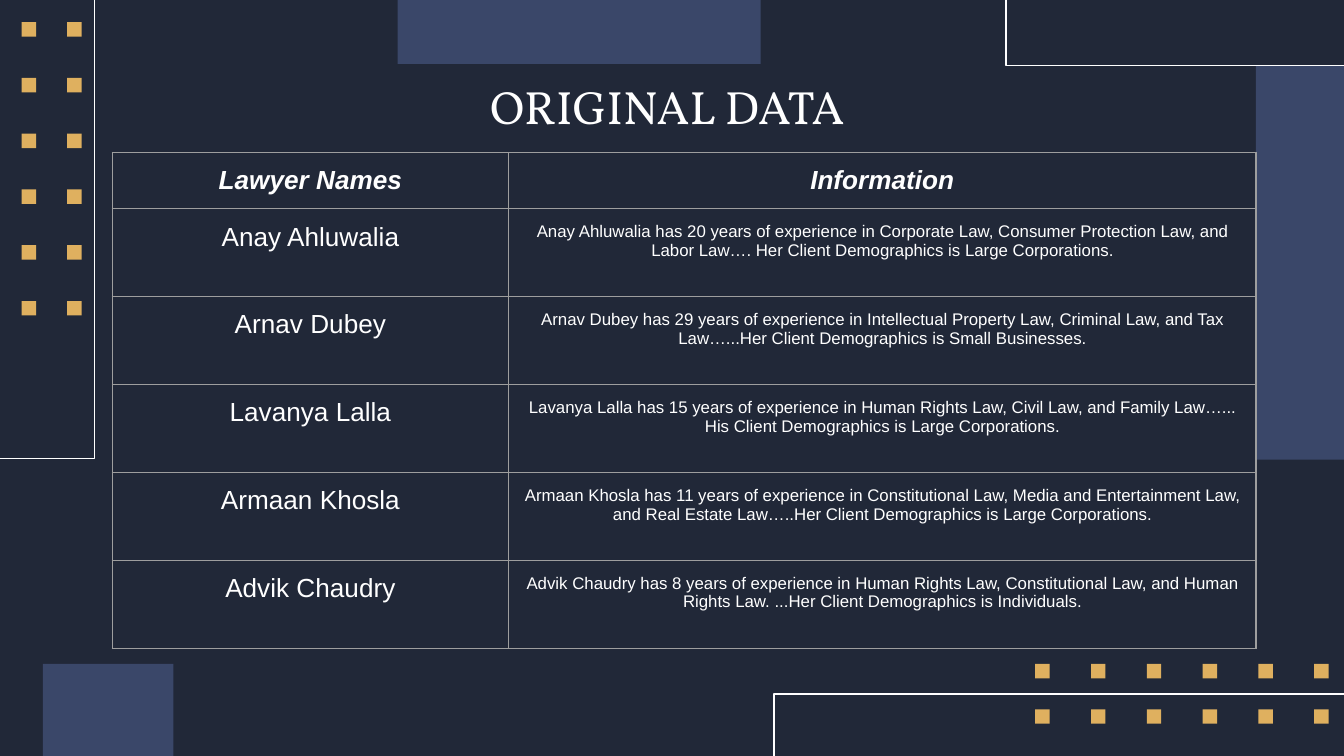
import pptx
import pptx.dml.color
import pptx.enum.shapes
import pptx.enum.text
import pptx.oxml
import pptx.oxml.ns
import pptx.util

NAVY = pptx.dml.color.RGBColor(0x21, 0x28, 0x38)
BLUE = pptx.dml.color.RGBColor(0x3A, 0x47, 0x69)
GOLD = pptx.dml.color.RGBColor(0xDF, 0xB0, 0x5F)
WHITE = pptx.dml.color.RGBColor(0xFF, 0xFF, 0xFF)
GREY = pptx.dml.color.RGBColor(0x9E, 0x9E, 0x9E)

COLUMNS, ROWS = 1000, 562.5
UNIT = pptx.util.Inches(0.01)
DOT_SIZE, DOT_STEP, DOT_GAP = 10.8, 41.5, 33.8
DOT_COUNT = 6

TITLE = {"name": "Vollkorn", "size": pptx.util.Pt(25)}
HEADING = {"name": "Arial", "size": pptx.util.Pt(14), "bold": True, "italic": True}
LAWYER = {"name": "Arial", "size": pptx.util.Pt(14), "bold": False, "italic": False}
DETAIL = {"name": "Arial", "size": pptx.util.Pt(9), "bold": False, "italic": False}
MARGINS = {f"margin_{side}": pptx.util.Inches(0.1) for side in ("left", "right", "top", "bottom")}

BLOCKS = [(32, 494, 97, ROWS - 494), (296, 0, 270, 47.5), (934.5, 49, 65.5, 293)]
OUTLINES = [
    [(COLUMNS, 516.5), (576, 516.5), (576, ROWS)],
    [(70.4, 0), (70.4, 341), (0, 341)],
    [(COLUMNS, 48.7), (748.5, 48.7), (748.5, 0)],
]
COLUMN_WIDTHS = [295, 556]
HEADER_HEIGHT, BODY_HEIGHT = 39, 65.4
TABLE_ROWS = [
    ("Lawyer Names", "Information"),
    ("Anay Ahluwalia", "Anay Ahluwalia has 20 years of experience in Corporate Law, Consumer Protection Law, "
     "and Labor Law…. Her Client Demographics is Large Corporations."),
    ("Arnav Dubey", "Arnav Dubey has 29 years of experience in Intellectual Property Law, Criminal Law, "
     "and Tax Law…...Her Client Demographics is Small Businesses."),
    ("Lavanya Lalla", "Lavanya Lalla has 15 years of experience in Human Rights Law, Civil Law, "
     "and Family Law…... His Client Demographics is Large Corporations."),
    ("Armaan Khosla", "Armaan Khosla has 11 years of experience in Constitutional Law, Media and "
     "Entertainment Law, and Real Estate Law…..Her Client Demographics is Large Corporations."),
    ("Advik Chaudry", "Advik Chaudry has 8 years of experience in Human Rights Law, Constitutional Law, "
     "and Human Rights Law. ...Her Client Demographics is Individuals."),
]


def grid(*lengths):
    """Turn grid units into slide lengths."""
    return [pptx.util.Emu(round(length * UNIT)) for length in lengths]


def set_values(target, values):
    """Set each named value as an attribute of the target."""
    for name, value in values.items():
        setattr(target, name, value)


def write_text(text_frame, text, format_values):
    """Write one centred white paragraph with the given font values."""
    paragraph = text_frame.paragraphs[0]
    paragraph.alignment = pptx.enum.text.PP_ALIGN.CENTER
    run = paragraph.add_run()
    run.text = text
    set_values(run.font, format_values)
    run.font.color.rgb = WHITE


def add_block(slide, box, color):
    """Add a plain filled rectangle."""
    shape = slide.shapes.add_shape(pptx.enum.shapes.MSO_SHAPE.RECTANGLE, *grid(*box))
    shape.shadow.inherit = False
    shape.fill.solid()
    shape.fill.fore_color.rgb = color
    shape.line.fill.background()


def add_dots(slide):
    """Add the upright and the flat pair of dot rows."""
    for step in range(DOT_COUNT):
        for lane in range(2):
            along, across = step * DOT_STEP, lane * DOT_GAP
            add_block(slide, (16.2 + across, 16.5 + along, DOT_SIZE, DOT_SIZE), GOLD)
            add_block(slide, (770.3 + along, 494 + across, DOT_SIZE, DOT_SIZE), GOLD)


def add_outline(slide, points):
    """Add an open white corner line."""
    start, *others = [tuple(grid(*point)) for point in points]
    builder = slide.shapes.build_freeform(*start)
    builder.add_line_segments(others, close=False)
    shape = builder.convert_to_shape()
    shape.shadow.inherit = False
    shape.fill.background()
    shape.line.color.rgb = WHITE
    shape.line.width = pptx.util.Pt(0.75)


def add_borders(cell):
    """Draw a thin grey line on each side of a cell."""
    properties = cell._tc.get_or_add_tcPr()
    for side in ("L", "R", "T", "B"):
        properties.append(pptx.oxml.parse_xml(
            f'<a:ln{side} {pptx.oxml.ns.nsdecls("a")} w="{pptx.util.Pt(0.75)}">'
            f'<a:solidFill><a:srgbClr val="{GREY}"/></a:solidFill></a:ln{side}>'
        ))


def add_lawyer_table(slide):
    """Add the table of lawyers and their experience."""
    heights = [HEADER_HEIGHT] + [BODY_HEIGHT] * (len(TABLE_ROWS) - 1)
    box = grid(83.5, 113.5, sum(COLUMN_WIDTHS), sum(heights))
    table = slide.shapes.add_table(len(TABLE_ROWS), len(COLUMN_WIDTHS), *box).table
    set_values(table, {"first_row": False, "horz_banding": False})
    for column, width in zip(table.columns, grid(*COLUMN_WIDTHS)):
        column.width = width
    for row_index, (row, height) in enumerate(zip(table.rows, grid(*heights))):
        row.height = height
        formats = (LAWYER, DETAIL) if row_index else (HEADING, HEADING)
        for cell, text, format_values in zip(row.cells, TABLE_ROWS[row_index], formats):
            set_values(cell, MARGINS)
            add_borders(cell)
            cell.fill.background()
            write_text(cell.text_frame, text, format_values)


def add_title(slide):
    """Add the slide title."""
    text_frame = slide.shapes.add_textbox(*grid(206, 48, 581, 80)).text_frame
    set_values(text_frame, {"word_wrap": True, **MARGINS})
    write_text(text_frame, "ORIGINAL DATA", TITLE)


def main():
    """Build and save the slide."""
    presentation = pptx.Presentation()
    presentation.slide_width, presentation.slide_height = grid(COLUMNS, ROWS)
    slide = presentation.slides.add_slide(presentation.slide_layouts[6])
    slide.background.fill.solid()
    slide.background.fill.fore_color.rgb = NAVY
    for box in BLOCKS:
        add_block(slide, box, BLUE)
    add_dots(slide)
    for points in OUTLINES:
        add_outline(slide, points)
    add_lawyer_table(slide)
    add_title(slide)
    presentation.save("out.pptx")


if __name__ == "__main__":
    main()
